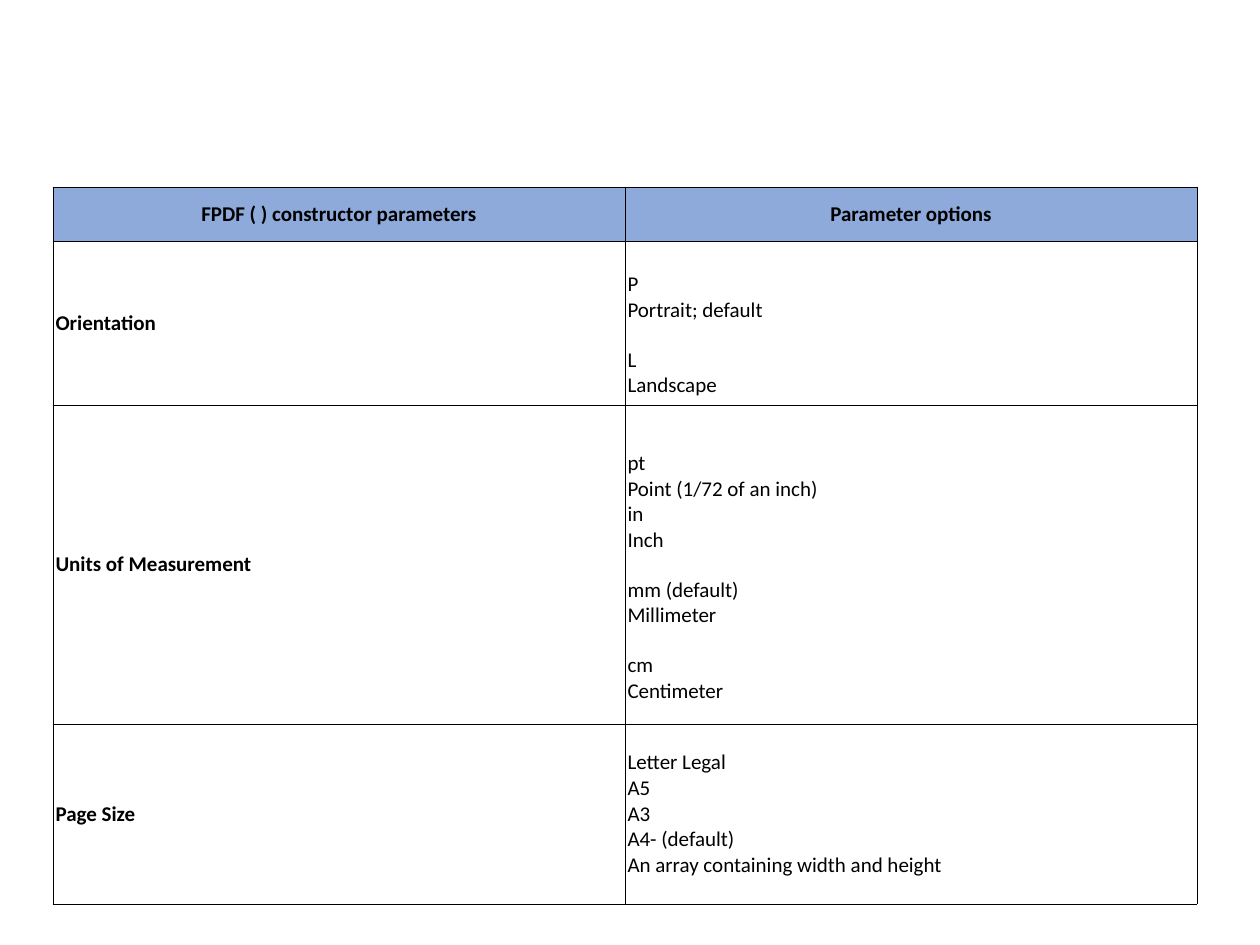
from lxml.etree import SubElement
from pptx import Presentation
from pptx.dml.color import RGBColor
from pptx.enum.text import MSO_ANCHOR as ANCHOR, PP_ALIGN as ALIGN
from pptx.oxml.ns import qn
from pptx.util import Cm, Pt

BLACK = RGBColor(0x00, 0x00, 0x00)
BLUE = RGBColor(0x44, 0x72, 0xC4)

COL_W = Cm(11.53)
ROW_HEIGHTS = [Cm(h) for h in (0.66, 1.09, 3.23, 6.43, 3.63)]
INSET_X, INSET_Y = Cm(0.05), Cm(0.13)
GAP = Cm(0.49)  # one line of space between option groups

# Each row: parameter, extra space above the options, groups of options
ROWS = [
    ("Orientation", GAP, [["P", "Portrait; default"], ["L", "Landscape"]]),
    ("Units of Measurement", Cm(0.52), [
        ["pt", "Point (1/72 of an inch)", "in", "Inch"],
        ["mm (default)", "Millimeter"],
        ["cm", "Centimeter"]]),
    ("Page Size", 0, [["Letter Legal", "A5", "A3", "A4- (default)",
                       "An array containing width and height"]]),
]


def set_borders(cell, sides):
    tc_pr = cell._tc.get_or_add_tcPr()
    for side in sides:
        ln = SubElement(tc_pr, qn(f"a:ln{side}"), w=str(Pt(0.45)))
        fill = SubElement(ln, qn("a:solidFill"))
        SubElement(fill, qn("a:srgbClr"), val=str(BLACK))


def fill_cell(cell, groups, bold=False, align=ALIGN.LEFT, space_above=0):
    set_borders(cell, "LRTB")
    cell.fill.background()
    cell.vertical_anchor = ANCHOR.MIDDLE
    cell.margin_left = cell.margin_right = INSET_X
    cell.margin_top, cell.margin_bottom = INSET_Y + space_above, INSET_Y
    tf = cell.text_frame
    tf.text = "\n".join(line for group in groups for line in group)
    for p in tf.paragraphs:
        p.alignment = align
        font = p.runs[0].font
        font.name, font.size, font.bold = "Calibri", Pt(12), bold
        font.color.rgb = BLACK
    # Space before every group after the first
    start = 0
    for group in groups[:-1]:
        start += len(group)
        tf.paragraphs[start].space_before = GAP


prs = Presentation()
prs.slide_width, prs.slide_height = Cm(25.4), Cm(19.05)
s = prs.slides.add_slide(prs.slide_layouts[6])

# Table grid
table = s.shapes.add_table(len(ROW_HEIGHTS), 2, Cm(1.07), Cm(2.74),
                           2 * COL_W, sum(ROW_HEIGHTS)).table
table.first_row = table.horz_banding = False
for col in table.columns:
    col.width = COL_W
for row, height in zip(table.rows, ROW_HEIGHTS):
    row.height = height

# Empty merged row above the header
for cell in table.rows[0].cells:
    set_borders(cell, "B")
    cell.fill.background()
table.cell(0, 0).merge(table.cell(0, 1))

# Header row, semi-transparent blue
for c, title in enumerate(("FPDF ( ) constructor parameters", "Parameter options")):
    cell = table.cell(1, c)
    fill_cell(cell, [[title]], bold=True, align=ALIGN.CENTER)
    cell.fill.solid()
    cell.fill.fore_color.rgb = BLUE
    color = cell._tc.tcPr.find(qn("a:solidFill")).find(qn("a:srgbClr"))
    SubElement(color, qn("a:alpha"), val="60000")

# Parameter rows
for r, (name, space_above, groups) in enumerate(ROWS, start=2):
    fill_cell(table.cell(r, 0), [[name]], bold=True)
    fill_cell(table.cell(r, 1), groups, space_above=space_above)

prs.save("out.pptx")
